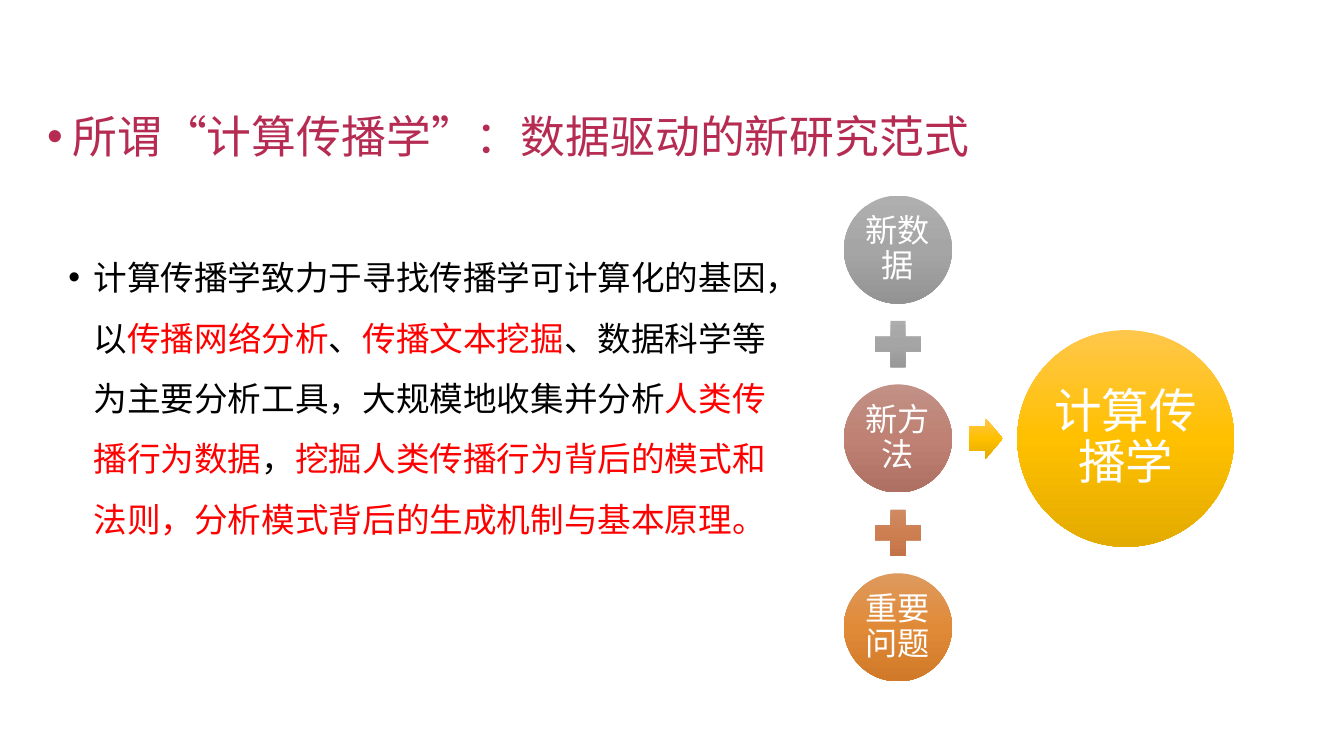
from pptx import Presentation
from pptx.dml.color import RGBColor as RGB
from pptx.enum.lang import MSO_LANGUAGE_ID as LANG
from pptx.enum.shapes import MSO_SHAPE as SHAPE
from pptx.enum.text import MSO_ANCHOR as ANCHOR, PP_ALIGN as ALIGN
from pptx.oxml.ns import qn
from pptx.util import Inches, Pt
from lxml.etree import SubElement

WHITE = RGB(0xFF, 0xFF, 0xFF)
BLACK = RGB(0, 0, 0)
RED = RGB(0xFF, 0, 0)
PLUM = RGB(0xB6, 0x2B, 0x52)
GRAY = RGB(0xAF, 0xAF, 0xAF), RGB(0xA5, 0xA5, 0xA5), RGB(0x93, 0x93, 0x93)
ROSE = RGB(0xC2, 0x91, 0x87), RGB(0xBE, 0x81, 0x73), RGB(0xAD, 0x70, 0x62)
RUST = RGB(0xCF, 0x8E, 0x6A), RGB(0xCE, 0x7F, 0x52), RGB(0xBD, 0x6E, 0x43)
AMBER = RGB(0xDE, 0x9A, 0x5E), RGB(0xE0, 0x8A, 0x38), RGB(0xD0, 0x7A, 0x29)
GOLD = RGB(0xFF, 0xC7, 0x4B), RGB(0xFF, 0xC0, 0), RGB(0xE3, 0xAB, 0)


def write(frame, parts, size, font, space, align=ALIGN.LEFT, inset=None, bullet=False):
    frame.word_wrap = True
    if inset is not None:
        frame.margin_left = frame.margin_right = Inches(inset)
        frame.margin_top = frame.margin_bottom = Inches(inset)
        frame.vertical_anchor = ANCHOR.MIDDLE
    para = frame.paragraphs[0]
    para.alignment = align
    para.line_spacing = space
    if bullet:
        props = para._p.get_or_add_pPr()
        props.set("marL", str(Inches(0.25)))
        props.set("indent", str(-Inches(0.25)))
        SubElement(props, qn("a:buFont")).set("typeface", "Arial")
        SubElement(props, qn("a:buChar")).set("char", "•")
    for text, color in parts:
        run = para.add_run()
        run.text = text
        run.font.size = Pt(size)
        run.font.name = font
        run.font.color.rgb = color
        run.font.language_id = LANG.SIMPLIFIED_CHINESE


def shade(shape, tones):
    shape.fill.gradient()
    grad = shape._element.spPr.find(qn("a:gradFill"))
    stops = grad.find(qn("a:gsLst"))
    for old in list(stops):
        stops.remove(old)
    for step, tone in enumerate(tones):
        stop = SubElement(stops, qn("a:gs"), pos=str(step * 50000))
        SubElement(stop, qn("a:srgbClr"), val=str(tone))
    grad.find(qn("a:lin")).set("ang", "5400000")


def draw(slide, kind, mid, size, tones):
    (x, y), (wide, high) = mid, size
    shape = slide.shapes.add_shape(
        kind, Inches(x - wide / 2), Inches(y - high / 2), Inches(wide), Inches(high))
    shape.shadow.inherit = False
    shape.line.fill.background()
    shade(shape, tones)
    return shape


def disc(slide, text, mid, width, tones, size):
    shape = draw(slide, SHAPE.OVAL, mid, (width, width), tones)
    write(shape.text_frame, [(text, WHITE)], size, "Calibri", 0.9,
          align=ALIGN.CENTER, inset=size / 700)


def note(slide, box, parts, size, space):
    area = slide.shapes.add_textbox(*map(Inches, box))
    write(area.text_frame, parts, size, "Times New Roman", space, bullet=True)


def sums(slide, box):
    left, top, wide, high = box
    small, large = high * 0.2225, high * 0.446
    mid, pitch = left + small / 2, (high - small) / 2
    first, center = top + small / 2, top + high / 2
    terms = [("新数据", GRAY), ("新方法", ROSE), ("重要问题", AMBER)]
    for row, (text, tones) in enumerate(terms):
        disc(slide, text, (mid, first + row * pitch), small, tones, 23)
    for row, tones in enumerate((GRAY, RUST)):
        spot = mid, first + (row + 0.5) * pitch
        draw(slide, SHAPE.MATH_PLUS, spot, (small * 0.58,) * 2, tones)
    gap = (left + small + left + wide - large) / 2
    arrow = draw(slide, SHAPE.RIGHT_ARROW, (gap + 0.01, center), (0.34, 0.4), GOLD)
    arrow.adjustments[0] = 0.6
    arrow.adjustments[1] = 0.5
    disc(slide, "计算传播学", (left + wide - large / 2, center), large, GOLD, 34)


def main():
    deck = Presentation()
    deck.slide_width, deck.slide_height = Inches(13.33), Inches(7.5)
    slide = deck.slides.add_slide(deck.slide_layouts[6])
    note(slide, (0.37, 1.09, 11.93, 0.81),
         [("所谓“计算传播学”：数据驱动的新研究范式", PLUM)], 32, 0.9)
    note(slide, (0.58, 2.3, 7.14, 3.93), [
        ("计算传播学致力于寻找传播学可计算化的基因，以", BLACK),
        ("传播网络分析", RED),
        ("、", BLACK),
        ("传播文本挖掘", RED),
        ("、数据科学等为主要分析工具，大规模地收集并分析", BLACK),
        ("人类传播行为数据", RED),
        ("，", BLACK),
        ("挖掘人类传播行为背后的模式和法则，分析模式背后的生成机制与基本原理。", RED),
    ], 24, 1.5)
    sums(slide, (8.37, 1.94, 3.87, 4.82))
    deck.save("out.pptx")


if __name__ == "__main__":
    main()
